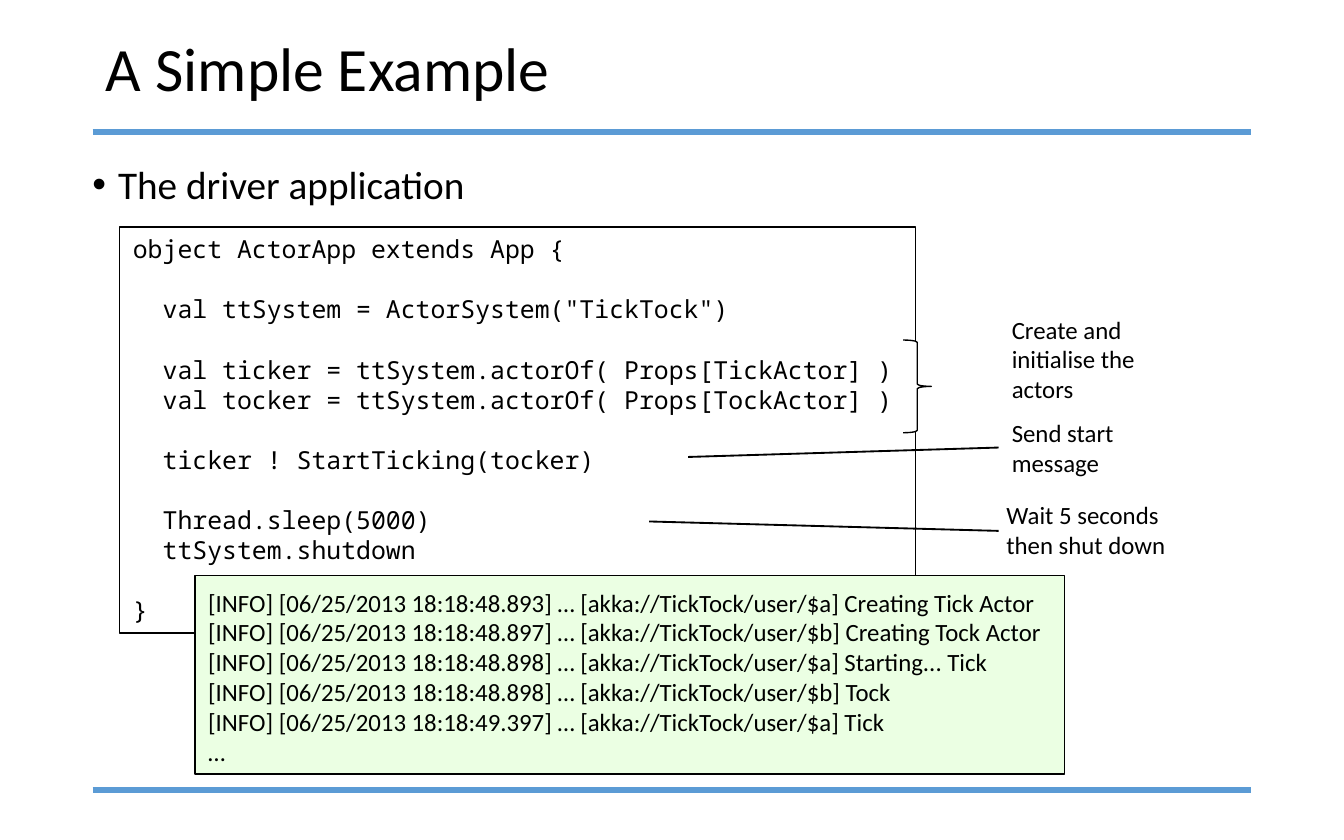
from lxml import etree
from pptx import Presentation
from pptx.dml.color import RGBColor
from pptx.enum.shapes import MSO_CONNECTOR, MSO_SHAPE
from pptx.enum.text import MSO_ANCHOR, PP_ALIGN
from pptx.oxml.ns import qn
from pptx.util import Inches, Pt

LINE = MSO_CONNECTOR.STRAIGHT
RECT, BRACE = MSO_SHAPE.RECTANGLE, MSO_SHAPE.RIGHT_BRACE
TOP, MIDDLE = MSO_ANCHOR.TOP, MSO_ANCHOR.MIDDLE
LEFT = PP_ALIGN.LEFT

COLORS = {"ink": "000000", "rule": "5B9BD5", "paper": "FFFFFF", "log": "EBFFE3"}
SANS, MONO = "Calibri", "Noto Sans Mono"
SMALL, PITCH = 13.3, 16.1
WIDE, HIGH = 10, 6.25
EDGE = 0.69

TITLE = "A Simple Example"
POINT = "The driver application"
# Each group of code lines is set off by one line of space.
CODE = [
    ["object ActorApp extends App {"],
    ['  val ttSystem = ActorSystem("TickTock")'],
    ["  val ticker = ttSystem.actorOf( Props[TickActor] )",
     "  val tocker = ttSystem.actorOf( Props[TockActor] )"],
    ["  ticker ! StartTicking(tocker)"],
    ["  Thread.sleep(5000)", "  ttSystem.shutdown"],
    ["}"],
]
LOG = [
    ("18:48.893", "a", "Creating Tick Actor"),
    ("18:48.897", "b", "Creating Tock Actor"),
    ("18:48.898", "a", "Starting... Tick"),
    ("18:48.898", "b", "Tock"),
    ("18:49.397", "a", "Tick"),
]
NOTES = [
    ("Create and\vinitialise the\vactors", (7.43, 2.29, 1.13, 0.77)),
    ("Send start\vmessage", (7.43, 3.06, 0.97, 0.55)),
    ("Wait 5 seconds\vthen shut down", (7.39, 3.67, 1.4, 0.55)),
]
LINKS = [(5.12, 3.4, 7.43, 3.33), (4.83, 3.88, 7.43, 3.95)]

deck = Presentation()
deck.slide_width, deck.slide_height = Inches(WIDE), Inches(HIGH)
slide = deck.slides.add_slide(deck.slide_layouts[6])
shapes = slide.shapes


def color(name):
    """Look up a named colour."""
    return RGBColor.from_string(COLORS[name])


def draw_line(ends, tint, width):
    """Draw a straight line without a shadow."""
    line = shapes.add_connector(LINE, *map(Inches, ends))
    line.line.color.rgb = color(tint)
    line.line.width = Pt(width)
    etree.SubElement(line._element.spPr, qn("a:effectLst"))


def draw_shape(kind, box, fill):
    """Draw a filled shape with a thin dark outline."""
    shape = shapes.add_shape(kind, *map(Inches, box))
    shape.shadow.inherit = False
    shape.fill.solid()
    shape.fill.fore_color.rgb = color(fill)
    shape.line.color.rgb = color("ink")
    shape.line.width = Pt(0.75)
    return shape


def write(shape, text, size=SMALL, font=SANS, wrap=False, anchor=TOP):
    """Fill a shape with left-aligned text and return its paragraphs."""
    frame = shape.text_frame
    frame.text = text
    frame.word_wrap = wrap
    frame.vertical_anchor = anchor
    for para in frame.paragraphs:
        para.alignment = LEFT
        for run in para.runs:
            run.font.size, run.font.name = Pt(size), font
            run.font.color.rgb = color("ink")
    return frame.paragraphs


def add_text(text, box, **style):
    """Add a text box."""
    return write(shapes.add_textbox(*map(Inches, box)), text, **style)


for y in (0.98, 5.88):
    draw_line((EDGE, y, WIDE - EDGE, y), "rule", 3)

head = add_text(TITLE, (EDGE, 0.18, WIDE - 2 * EDGE, 0.7),
                size=33, wrap=True, anchor=MIDDLE)[0]
head.line_spacing = 0.9

point = add_text(POINT, (0.59, 1.18, 7.64, 0.56), size=21, wrap=True)[0]
point.line_spacing, point.space_before = 0.9, Pt(7.5)
props = point._p.get_or_add_pPr()
props.set("marL", str(Inches(0.19)))
props.set("indent", str(-Inches(0.19)))
etree.SubElement(props, qn("a:buFont")).set("typeface", "Arial")
etree.SubElement(props, qn("a:buChar")).set("char", "•")

code = draw_shape(RECT, (0.89, 1.69, 5.92, 3.02), "paper")
lines = [line for group in CODE for line in group]
starts = [group[0] for group in CODE[1:]]
for para in write(code, "\n".join(lines), font=MONO):
    para.line_spacing = Pt(PITCH)
    if para.text in starts:
        para.space_before = Pt(PITCH)

draw_shape(BRACE, (6.72, 2.53, 0.21, 0.69), "paper")
for text, box in NOTES:
    add_text(text, box)
for ends in LINKS:
    draw_line(ends, "ink", 1)

log = draw_shape(RECT, (1.45, 4.28, 6.47, 1.48), "log")
rows = [f"[INFO] [06/25/2013 18:{time}] … [akka://TickTock/user/${actor}] {event}"
        for time, actor, event in LOG]
write(log, "\n".join(rows + ["…"]))
log.text_frame.margin_top = Inches(0.09)

deck.save("out.pptx")
